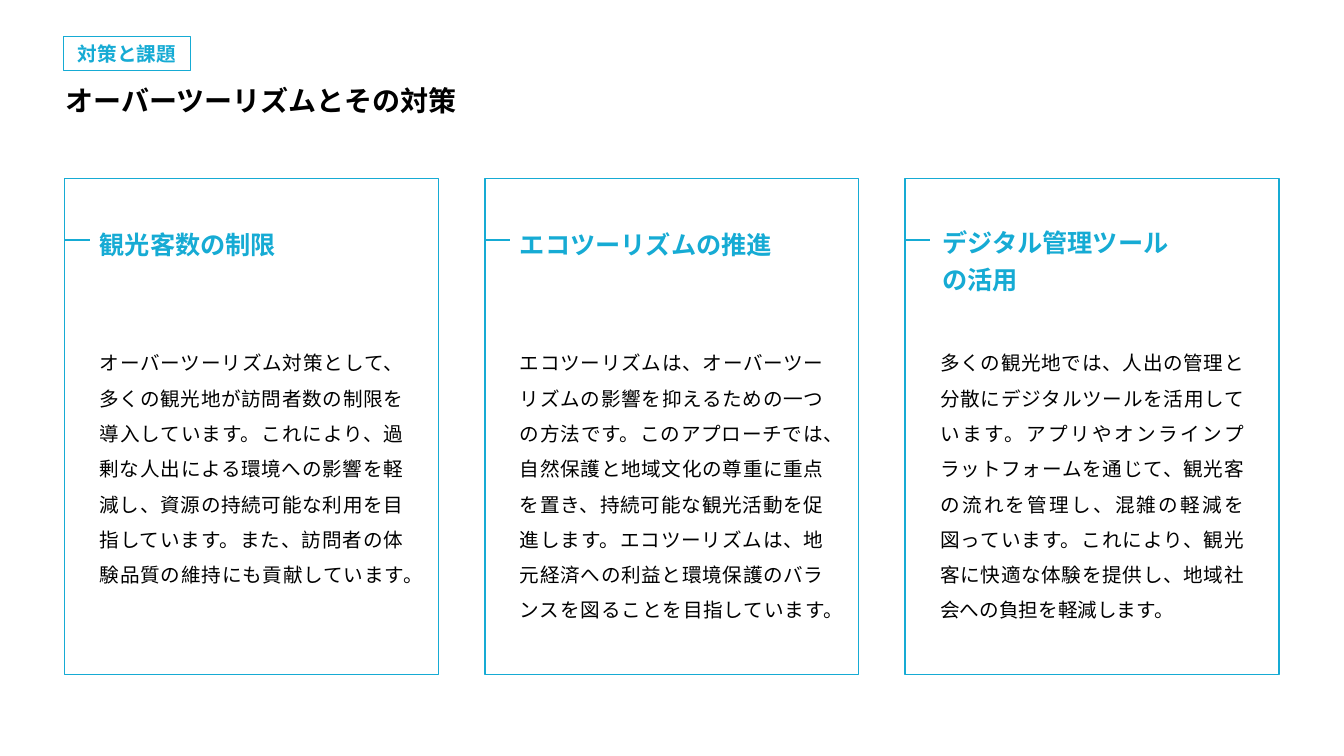
import dataclasses

import pptx
import pptx.dml.color
import pptx.enum.shapes
import pptx.enum.text
import pptx.oxml.ns
import pptx.util
import lxml.etree

Pt = pptx.util.Pt
ALIGN = pptx.enum.text.PP_ALIGN
ANCHOR = pptx.enum.text.MSO_ANCHOR
qn = pptx.oxml.ns.qn

FONT = "Noto Sans CJK JP"
COLORS = {"accent": "16ABD4", "ink": "000000"}
LEFT, TOP, WIDTH, HEIGHT = 46.08, 127.44, 267.12, 354.24
PITCH = 300.24
INSET = 18


@dataclasses.dataclass
class Card:
    title: str
    body: str
    width: float
    tall: float
    shift: float = 0
    top: float = 149.76
    height: float = 36
    space: float = 1.5


CARDS = [
    Card("観光客数の制限",
         "オーバーツーリズム対策として、多くの観光地が訪問者数の制限を導入しています。"
         "これにより、過剰な人出による環境への影響を軽減し、資源の持続可能な利用を"
         "目指しています。また、訪問者の体験品質の維持にも貢献しています。",
         width=180, tall=182.16),
    Card("エコツーリズムの推進",
         "エコツーリズムは、オーバーツーリズムの影響を抑えるための一つの方法です。"
         "このアプローチでは、自然保護と地域文化の尊重に重点を置き、持続可能な観光活動を"
         "促進します。エコツーリズムは、地元経済への利益と環境保護のバランスを"
         "図ることを目指しています。",
         width=210.96, tall=208.08),
    Card("デジタル管理ツール\vの活用",
         "多くの観光地では、人出の管理と分散にデジタルツールを活用しています。"
         "アプリやオンラインプラットフォームを通じて、観光客の流れを管理し、混雑の軽減を"
         "図っています。これにより、観光客に快適な体験を提供し、地域社会への負担を軽減します。",
         width=240.48, tall=208.08, shift=1.44, top=154.8, height=57.6, space=1.2),
]


def tint(name: str) -> pptx.dml.color.RGBColor:
    return pptx.dml.color.RGBColor.from_string(COLORS[name])


def write(shape, text: str, *, size: float, color: str = "ink", bold: bool = False,
          align=ALIGN.LEFT, anchor=ANCHOR.TOP, space: float | None = None) -> None:
    frame = shape.text_frame
    frame.word_wrap = True
    frame.auto_size = pptx.enum.text.MSO_AUTO_SIZE.SHAPE_TO_FIT_TEXT
    frame.vertical_anchor = anchor
    para = frame.paragraphs[0]
    para.text = text
    para.alignment = align
    para.line_spacing = space
    for run in para.runs:
        font = run.font
        font.name, font.size, font.bold = FONT, Pt(size), bold
        font.color.rgb = tint(color)
        east = lxml.etree.SubElement(font._element, qn("a:ea"))
        east.set("typeface", FONT)


def add_text(slide, left: float, top: float, width: float, height: float,
             text: str, **style) -> None:
    box = slide.shapes.add_textbox(Pt(left), Pt(top), Pt(width), Pt(height))
    write(box, text, **style)


def add_frame(slide, left: float, top: float, width: float, height: float,
              weight: float):
    """Draw an unfilled rectangle with an accent outline."""
    rect = slide.shapes.add_shape(pptx.enum.shapes.MSO_SHAPE.RECTANGLE,
                                  Pt(left), Pt(top), Pt(width), Pt(height))
    rect.shadow.inherit = False
    rect.fill.background()
    rect.line.color.rgb = tint("accent")
    rect.line.width = Pt(weight)
    return rect


def add_tick(slide, left: float, top: float) -> None:
    """Draw the short rule that leads from a card's edge to its title."""
    tick = slide.shapes.add_connector(pptx.enum.shapes.MSO_CONNECTOR.STRAIGHT,
                                      Pt(left), Pt(top), Pt(left + INSET), Pt(top))
    tick.line.color.rgb = tint("accent")
    tick.line.width = Pt(1)
    lxml.etree.SubElement(tick._element.spPr, qn("a:effectLst"))


def add_card(slide, card: Card, left: float) -> None:
    add_frame(slide, left, TOP, WIDTH, HEIGHT, 1)
    inner = left + INSET
    add_text(slide, inner + card.shift, card.top, card.width, card.height, card.title,
             size=18, color="accent", bold=True, space=card.space)
    add_text(slide, inner, 239.04, 231.12, card.tall, card.body,
             size=14, align=ALIGN.JUSTIFY, space=1.5)
    add_tick(slide, left, 171.36)


def main() -> None:
    deck = pptx.Presentation()
    deck.slide_width, deck.slide_height = Pt(960), Pt(540)
    slide = deck.slides.add_slide(deck.slide_layouts[6])
    for index, card in enumerate(CARDS):
        add_card(slide, card, LEFT + index * PITCH)
    tag = add_frame(slide, 45.36, 25.92, 90.72, 24.48, 0.75)
    write(tag, "対策と課題", size=14, color="accent", bold=True,
          align=ALIGN.CENTER, anchor=ANCHOR.MIDDLE)
    add_text(slide, 39.6, 56.16, 342.72, 31.68, "オーバーツーリズムとその対策",
             size=20, bold=True)
    deck.save("out.pptx")


if __name__ == "__main__":
    main()
